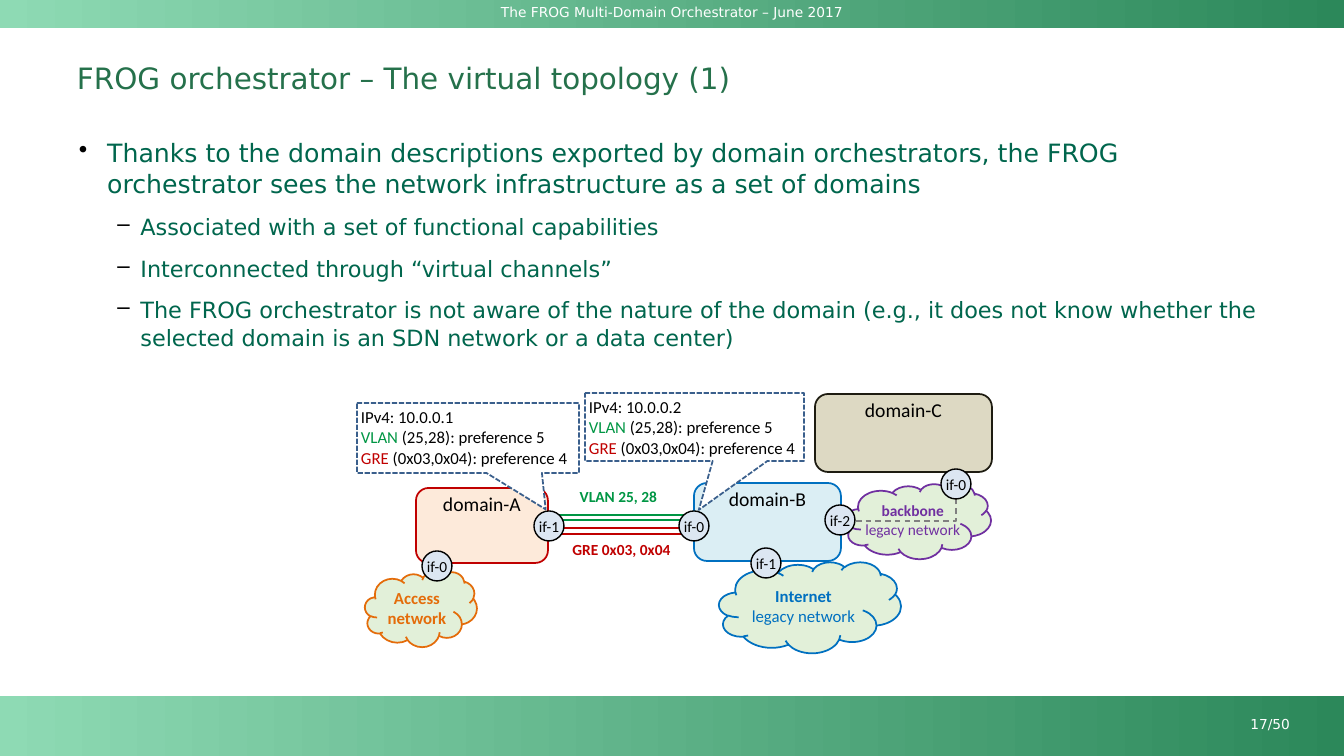
from lxml.etree import SubElement
from pptx import Presentation
from pptx.dml.color import RGBColor
from pptx.enum.dml import MSO_LINE as DASH
from pptx.enum.shapes import MSO_CONNECTOR as WIRE, MSO_SHAPE as SHAPE
from pptx.enum.text import MSO_ANCHOR as ANCHOR, PP_ALIGN as ALIGN
from pptx.oxml.ns import qn
from pptx.util import Emu, Pt

PX = 914400 / 100.8
COLORS = {
    "white": "FFFFFF", "black": "000000", "mint": "8EDAB4", "forest": "2C885A",
    "title": "25714B", "body": "00664D", "green": "009644", "red": "C00000",
    "blue": "0070C0", "navy": "3A5F8C", "orange": "E46C0A", "purple": "7030A0",
    "grey": "808080", "peach": "FDEADA", "ice": "DBEEF4", "sand": "DDD9C3",
    "ink": "1E1C11", "leaf": "E2F0D9", "port": "DCE6F2",
}
RGB = {name: RGBColor.from_string(value) for name, value in COLORS.items()}
CENTERED = {"alignment": ALIGN.CENTER}
MIDDLE = {"vertical_anchor": ANCHOR.MIDDLE}


def px(*lengths):
    return [Emu(round(length * PX)) for length in lengths]


def write(holder, paragraphs, face, size, margins, frame_format={}, paragraph_format={}):
    frame = holder.text_frame
    side, edge = px(*margins)
    layout = {"word_wrap": True, "vertical_anchor": ANCHOR.TOP,
              "margin_left": side, "margin_right": side,
              "margin_top": edge, "margin_bottom": edge} | frame_format
    for name, value in layout.items():
        setattr(frame, name, value)
    for index, pieces in enumerate(paragraphs):
        paragraph = frame.add_paragraph() if index else frame.paragraphs[0]
        for name, value in ({"alignment": ALIGN.LEFT} | paragraph_format).items():
            setattr(paragraph, name, value)
        for words, color, bold in pieces:
            run = paragraph.add_run()
            run.text = words
            for name, value in {"name": face, "size": Pt(size), "bold": bold}.items():
                setattr(run.font, name, value)
            run.font.color.rgb = RGB[color]


deck = Presentation()
deck.slide_width, deck.slide_height = px(1344, 756)
slide = deck.slides.add_slide(deck.slide_layouts[6])
shapes = slide.shapes

for top, height in [(696, 60), (0, 28)]:
    band = shapes.add_shape(SHAPE.RECTANGLE, *px(0, top, 1344, height))
    band.shadow.inherit = False
    band.line.fill.background()
    band.fill.gradient()
    band.fill.gradient_angle = 0
    for stop, color in zip(band.fill.gradient_stops, ["mint", "forest"]):
        stop.color.rgb = RGB[color]

for words, box, align in [
    ("The FROG Multi-Domain Orchestrator – June 2017", (0, 0, 1344, 29), ALIGN.CENTER),
    ("17/50", (1085, 712, 212, 29), ALIGN.RIGHT),
]:
    write(shapes.add_textbox(*px(*box)), [[(words, "white", False)]],
          "DejaVu Sans", 9.8, (7, 4), paragraph_format={"alignment": align})

title = shapes.add_textbox(*px(67, 30, 935, 94))
write(title, [[("FROG orchestrator – The virtual topology (1)", "title", False)]],
      "DejaVu Sans", 21, (10, 5), MIDDLE, {"line_spacing": 1.02})

points = [
    (0, "Thanks to the domain descriptions exported by domain orchestrators, the FROG "
        "orchestrator sees the network infrastructure as a set of domains"),
    (1, "Associated with a set of functional capabilities"),
    (1, "Interconnected through “virtual channels”"),
    (1, "The FROG orchestrator is not aware of the nature of the domain (e.g., it does not "
        "know whether the selected domain is an SDN network or a data center)"),
]
levels = [("•", 28, 28, 18), ("–", 61, 23, 16)]
body = shapes.add_textbox(*px(69, 132, 1210, 499))
write(body, [[(words, "body", False)] for level, words in points],
      "DejaVu Sans", 16, (10, 5), paragraph_format={"line_spacing": 1.02})
for index, (level, words) in enumerate(points):
    paragraph = body.text_frame.paragraphs[index]
    mark, indent, hang, size = levels[level]
    properties = paragraph._p.get_or_add_pPr()
    for name, value in {"marL": indent, "indent": -hang, "lvl": level}.items():
        properties.set(name, str(value if name == "lvl" else value * 9144))
    bullet_color = SubElement(properties, qn("a:buClr"))
    SubElement(bullet_color, qn("a:srgbClr")).set("val", COLORS["black"])
    SubElement(properties, qn("a:buChar")).set("char", mark)
    paragraph.runs[0].font.size = Pt(size)
    if index:
        paragraph.space_before = Pt(10.1)

domains = [
    ("domain-A", (416, 488, 132, 75), "peach", "red"),
    ("domain-B", (694, 483, 147, 78), "ice", "blue"),
    ("domain-C", (815, 394, 177, 78), "sand", "ink"),
]
callouts = [
    ("10.0.0.1", (357, 403, 222, 70), (0.35, 1.02)),
    ("10.0.0.2", (585, 393, 219, 68), (0.02, 1.22)),
]
clouds = [
    ([("Internet", True), ("legacy network", False)], (719, 562, 182, 91), "blue", 12, 4),
    ([("Access network", True)], (365, 572, 112, 75), "orange", 12, 0),
    ([("backbone", True), ("legacy network", False)], (845, 484, 146, 75), "purple", 11, 0),
]
ports = [("if-1", 549, 526), ("if-0", 694, 526), ("if-1", 766, 563),
         ("if-0", 437, 566), ("if-2", 840, 520), ("if-0", 956, 484)]

nodes = []
for name, box, fill, line in domains:
    nodes.append((SHAPE.ROUNDED_RECTANGLE, box, fill, line, 1.25, [[(name, "black", False)]],
                  14, (0, 0), {}, CENTERED))
for address, box, tip in callouts:
    facts = [[(f"IPv4: {address}", "black", False)],
             [("VLAN", "green", False), (" (25,28): preference 5", "black", False)],
             [("GRE", "red", False), (" (0x03,0x04): preference 4", "black", False)]]
    nodes.append((SHAPE.RECTANGULAR_CALLOUT, box, "white", "navy", 1.25, facts,
                  12, (4, 4), {}, {}))
for lines, box, color, size, side in clouds:
    nodes.append((SHAPE.CLOUD, box, "leaf", color, 1.25,
                  [[(words, color, bold)] for words, bold in lines],
                  size, (side, 5), MIDDLE, CENTERED))
for name, x, y in ports:
    nodes.append((SHAPE.OVAL, (x - 15, y - 15, 30, 30), "port", "black", 1,
                  [[(name, "black", False)]], 11, (0, 0),
                  MIDDLE | {"word_wrap": False}, CENTERED))

channels = [(WIRE.STRAIGHT, (552, y, 690, y), color, 1.25, None)
            for y, color in [(515, "green"), (520, "green"), (528, "red"), (534, "red")]]
channels.append((WIRE.ELBOW, (856, 521, 956, 498), "grey", 1, DASH.DASH))

tips = iter(tip for address, box, tip in callouts)
for preset, box, fill, line, weight, texts, size, margins, frame_format, alignment in nodes:
    if preset == SHAPE.OVAL and channels:
        for kind, ends, color, width, dash in channels:
            channel = shapes.add_connector(kind, *px(*ends))
            for name, value in {"width": Pt(width), "dash_style": dash}.items():
                setattr(channel.line, name, value)
            channel.line.color.rgb = RGB[color]
            SubElement(channel._element.spPr, qn("a:effectLst"))
            if kind == WIRE.ELBOW:
                channel._element.spPr.find(qn("a:prstGeom")).set("prst", "bentConnector2")
        channels = []
    node = shapes.add_shape(preset, *px(*box))
    node.shadow.inherit = False
    node.fill.solid()
    node.fill.fore_color.rgb = RGB[fill]
    node.line.color.rgb = RGB[line]
    node.line.width = Pt(weight)
    if preset == SHAPE.RECTANGULAR_CALLOUT:
        node.line.dash_style = DASH.SQUARE_DOT
        node.adjustments[0], node.adjustments[1] = next(tips)
    write(node, texts, "Calibri", size, margins, frame_format, alignment)

for words, box, color in [("VLAN 25, 28", (541, 482, 155, 29), "green"),
                          ("GRE 0x03, 0x04", (552, 535, 139, 29), "red")]:
    write(shapes.add_textbox(*px(*box)), [[(words, color, True)]],
          "Calibri", 11, (10, 5), paragraph_format=CENTERED)

deck.save("out.pptx")
